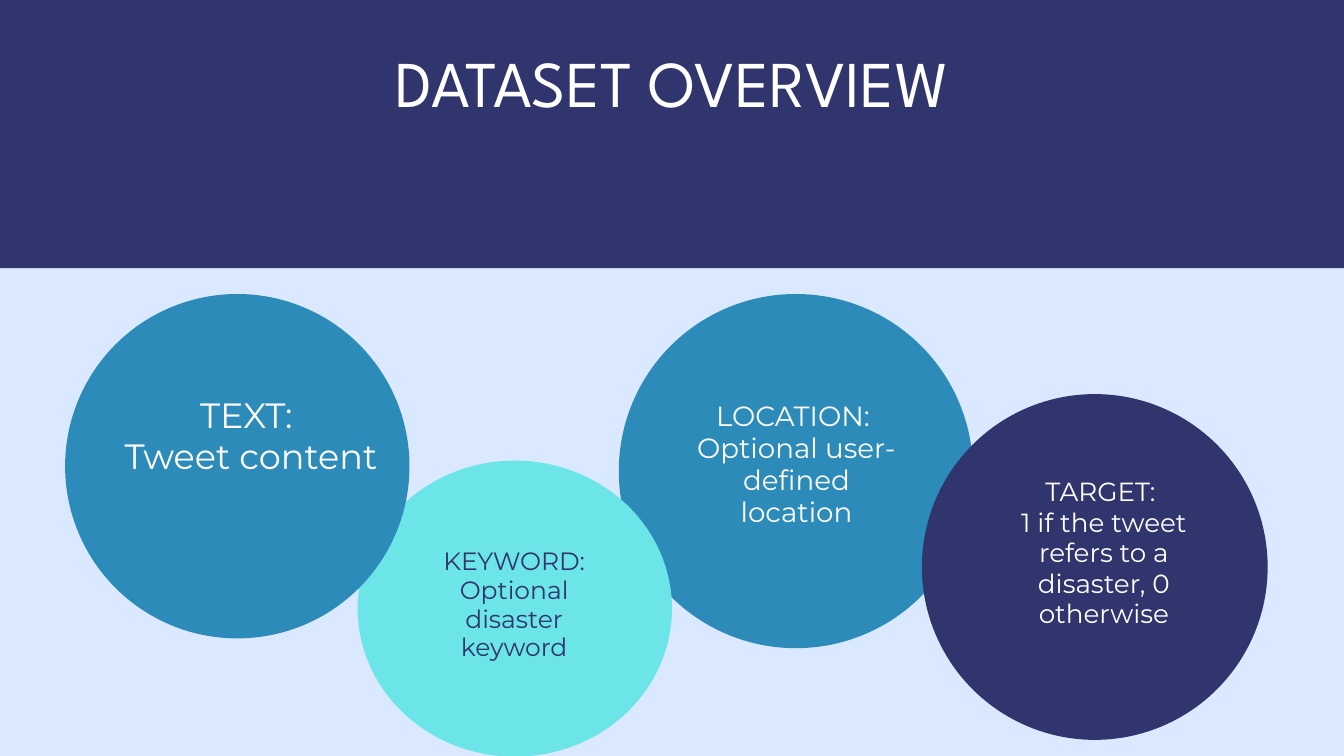
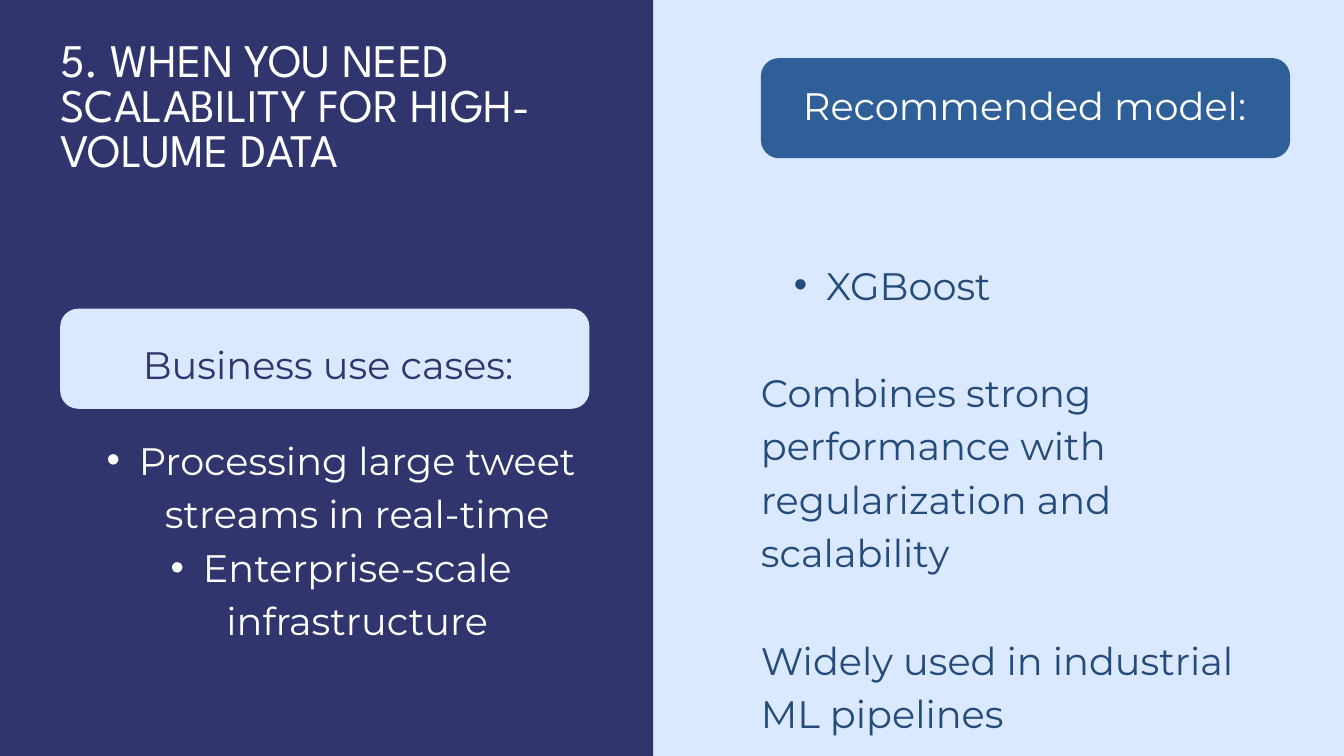
from lxml import etree
from pptx import Presentation
from pptx import util as u
from pptx.dml.color import RGBColor
from pptx.enum import shapes, text
from pptx.oxml.ns import qn

PX = 9525
WIDE, HIGH = 1920, 1080
BLEED_X, BLEED_Y = 38, 65

NAVY = RGBColor(0x31, 0x35, 0x6E)
PALE = RGBColor(0xDA, 0xE9, 0xFF)
BLUE = RGBColor(0x2D, 0x8B, 0xBA)
AQUA = RGBColor(0x6C, 0xE5, 0xE8)
STEEL = RGBColor(0x2F, 0x5F, 0x98)
INK = RGBColor(0x24, 0x4B, 0x79)
WHITE = RGBColor(0xFF, 0xFF, 0xFF)

HEAD, BODY = "League Spartan", "Montserrat"
TITLE_GAP, LABEL_GAP, BODY_GAP = 0.96, 1.16, 1.4
BODY_SIZE = 41
LEFT, CENTER = text.PP_ALIGN.LEFT, text.PP_ALIGN.CENTER
KIND = shapes.MSO_SHAPE


def px(*vals):
    """Turn px lengths into EMU."""
    return [u.Emu(val * PX) for val in vals]


def form(slide, kind, box, fill):
    """Add a plain filled shape without outline or shadow."""
    shape = slide.shapes.add_shape(kind, *px(*box))
    shape.shadow.inherit = False
    shape.fill.solid()
    shape.fill.fore_color.rgb = fill
    shape.line.fill.background()
    return shape


def write(shape, lines, size, color, font=BODY, gap=BODY_GAP, align=CENTER):
    """Fill a text shape with evenly styled paragraphs."""
    frame = shape.text_frame
    frame.text = "\n".join(lines)
    frame.word_wrap = True
    frame.auto_size = text.MSO_AUTO_SIZE.NONE
    frame.vertical_anchor = text.MSO_ANCHOR.TOP
    frame.margin_left = frame.margin_right = 0
    frame.margin_top = frame.margin_bottom = 0
    for para in frame.paragraphs:
        para.alignment = align
        para.line_spacing = u.Pt(size * gap)
        for run in para.runs:
            run.font.name = font
            run.font.size = u.Pt(size)
            run.font.color.rgb = color
    return frame.paragraphs


def label(slide, box, lines, size, color, **style):
    """Add a text box and return its paragraphs."""
    return write(slide.shapes.add_textbox(*px(*box)), lines, size, color, **style)


def bullet(para):
    """Give a paragraph a hanging round bullet."""
    para.level = 1
    props = para._p.get_or_add_pPr()
    indent, hang = px(93, 46)
    props.set("marL", str(indent))
    props.set("indent", str(-hang))
    etree.SubElement(props, qn("a:buFont")).set("typeface", "Arial")
    etree.SubElement(props, qn("a:buChar")).set("char", "•")


def start(deck, band, box, title, size, align):
    """Add a pale slide with a navy band bleeding off the edges and a title."""
    slide = deck.slides.add_slide(deck.slide_layouts[5])
    slide.background.fill.solid()
    slide.background.fill.fore_color.rgb = PALE
    head = slide.shapes.title
    head.left, head.top, head.width, head.height = px(*box)
    write(head, [title], size, WHITE, HEAD, TITLE_GAP, align)
    panel = form(slide, KIND.RECTANGLE, (-BLEED_X, -BLEED_Y, *band), NAVY)
    head.element.addprevious(panel.element)
    return slide


def bubble(slide, box, fill, inner, lines, size, color=WHITE):
    """Draw a circle; return a function that places its label inside it."""
    left, top, wide, high = box
    form(slide, KIND.OVAL, box, fill)
    dx, dy, width, height = inner
    place = (left + dx, top + dy, width, height)
    return lambda: label(slide, place, lines, size, color, gap=LABEL_GAP)


def badge(slide, left, top, fill, words, color, dx, dy):
    """Draw a rounded heading box with its words at an offset."""
    shape = form(slide, KIND.ROUNDED_RECTANGLE, (left, top, 756, 143), fill)
    shape.adjustments[0] = 0.18
    label(slide, (left + dx, top + dy, 714, 74), [words], BODY_SIZE, color)


def cases(slide, left, top):
    """Place the use case heading and its bullets."""
    badge(slide, left, top, PALE, "Business use cases:", NAVY, 26, 36)
    lines = ["Processing large tweet streams in real-time",
             "Enterprise-scale infrastructure"]
    box = (left, top + 172, 756, 378)
    for para in label(slide, box, lines, BODY_SIZE, WHITE):
        bullet(para)


def model(slide, left, top):
    """Place the model heading, its name and the reasons for it."""
    badge(slide, left, top, STEEL, "Recommended model:", WHITE, 20, 23)
    lines = ["XGBoost",
             "Combines strong performance with regularization and scalability",
             "Widely used in industrial ML pipelines"]
    box = (left, top + 280, 735, 679)
    name, *notes = label(slide, box, lines, BODY_SIZE, INK, align=LEFT)
    bullet(name)
    for note in notes:
        note.space_before = u.Pt(BODY_SIZE * BODY_GAP)


def dataset(deck):
    """Build the slide of overlapping field bubbles."""
    slide = start(deck, (2031, 448), (260, 83, 1400, 95),
                  "DATASET OVERVIEW", 70, CENTER)
    fields = [
        ((884, 420, 506, 506), BLUE, (93, 151, 322, 138),
         ["LOCATION: ", "Optional user-defined location"], 29.7),
        ((511, 658, 449, 423), AQUA, (108, 122, 231, 167),
         ["KEYWORD:", "Optional disaster keyword"], 26.8, NAVY),
        ((93, 420, 492, 492), BLUE, (39, 144, 453, 116),
         ["TEXT: ", "Tweet content"], 37.6),
        ((1317, 563, 494, 494), NAVY, (108, 118, 304, 260),
         ["TARGET: ", "1 if the tweet refers to a disaster, 0 otherwise"], 28.1),
    ]
    for show in [bubble(slide, *field) for field in fields]:
        show()


def scaling(deck):
    """Build the slide with use cases beside the suggested model."""
    slide = start(deck, (971, 1177), (86, 60, 714, 198),
                  "5. WHEN YOU NEED SCALABILITY FOR HIGH-VOLUME DATA", 50, LEFT)
    cases(slide, 86, 441)
    model(slide, 1087, 83)


def main():
    """Build and save the deck."""
    deck = Presentation()
    deck.slide_width, deck.slide_height = px(WIDE, HIGH)
    dataset(deck)
    scaling(deck)
    deck.save("out.pptx")


if __name__ == "__main__":
    main()
